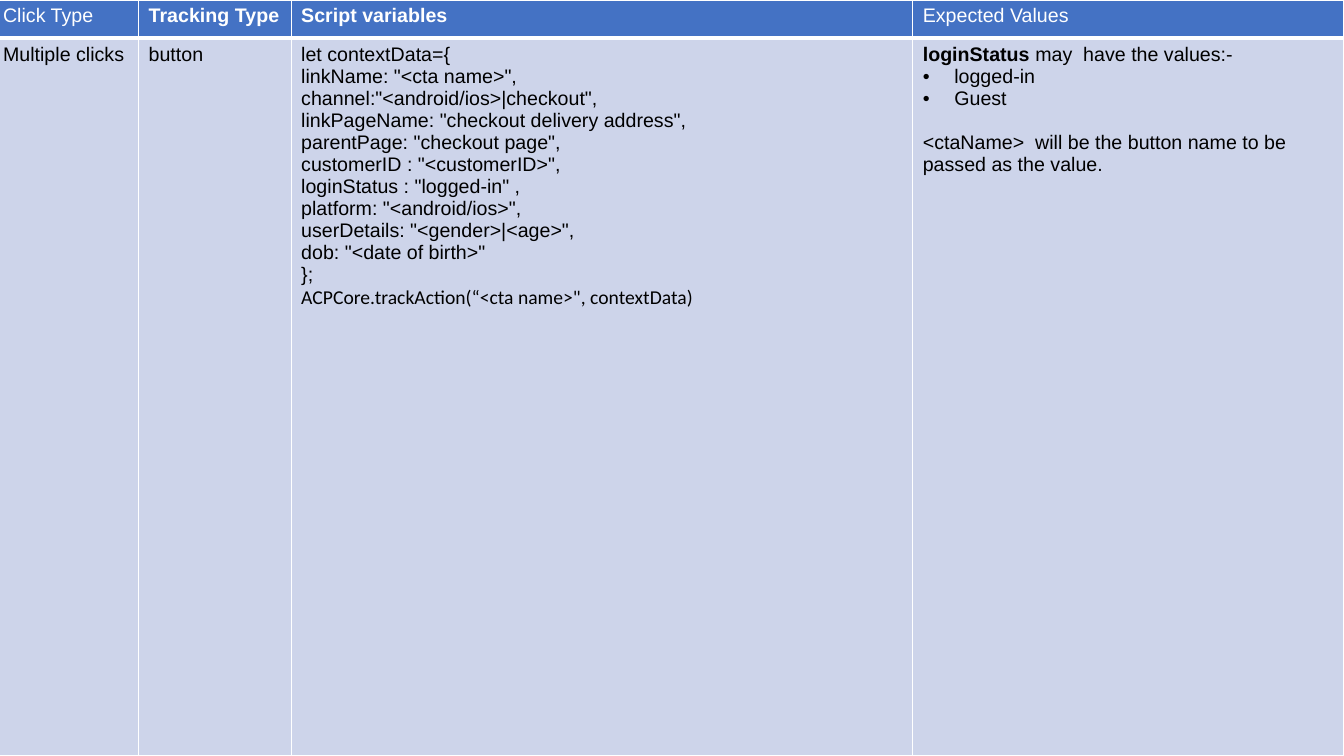
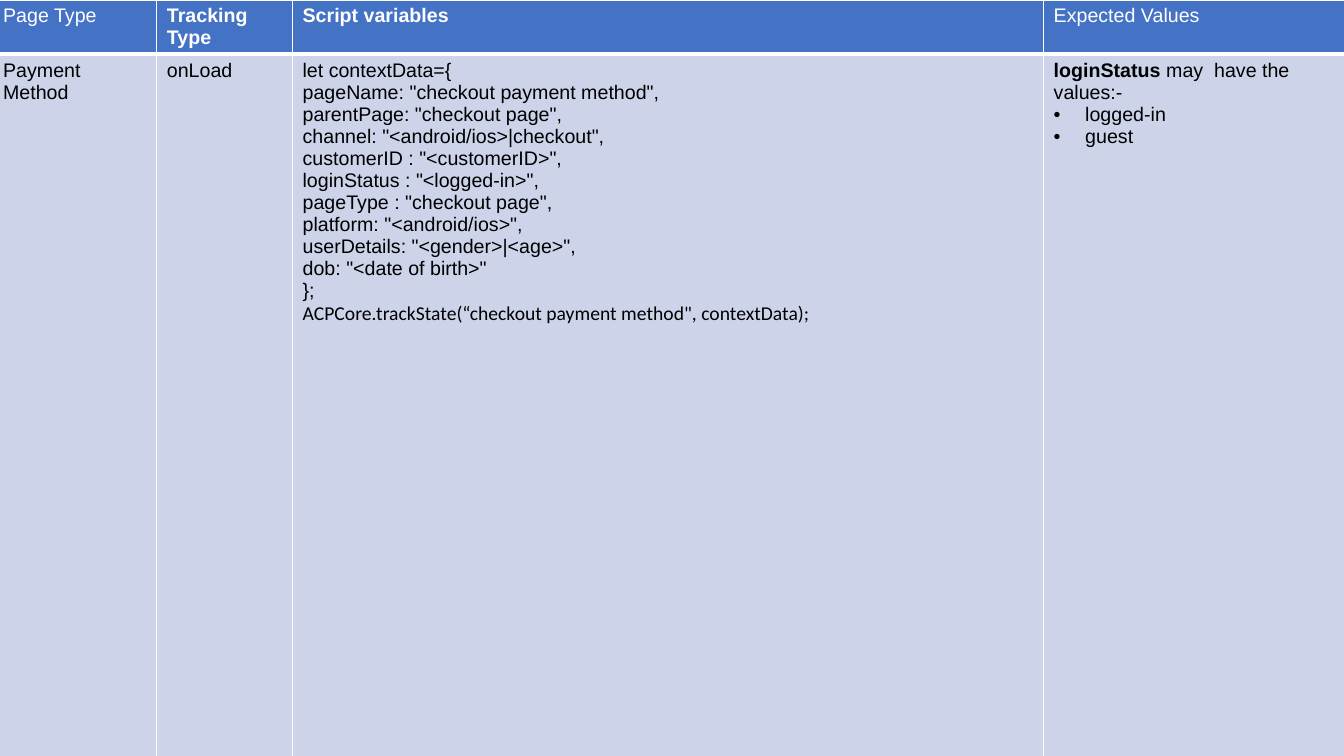
from dataclasses import dataclass

from pptx import Presentation
from pptx.dml.color import RGBColor
from pptx.oxml.ns import qn
from pptx.util import Pt
from lxml.etree import SubElement


def colour(value):
    return RGBColor.from_string(value)


@dataclass
class Line:
    text: str
    lead: str = ""
    bold: bool = False
    font: str = "Arial"
    bullet: bool = False
    gap: float = 0


class TrackingDeck:
    WIDTH, HEIGHT = 960, 540
    LEFT = -5
    HEADER_HEIGHT = 27.4
    SIZE = 14
    INDENT = 22.5
    HEADER_FILL, BODY_FILL = "4472C4", "CDD4EA"
    WHITE, BLACK = "FFFFFF", "000000"
    THIN, THICK = 1, 3

    def __init__(self):
        self.deck = Presentation()
        self.deck.slide_width = Pt(self.WIDTH)
        self.deck.slide_height = Pt(self.HEIGHT)
        self.page = None

    def add_page(self):
        self.page = self.deck.slides.add_slide(self.deck.slide_layouts[6])

    def add_table(self, widths, header, body):
        frame = self.page.shapes.add_table(
            2, len(widths), Pt(self.LEFT), Pt(0), Pt(sum(widths)), Pt(self.HEIGHT))
        table = frame.table
        table.horz_banding = False
        for column, width in zip(table.columns, widths):
            column.width = Pt(width)
        heights = (self.HEADER_HEIGHT, self.HEIGHT - self.HEADER_HEIGHT)
        for row, height in zip(table.rows, heights):
            row.height = Pt(height)
        for index, (heading, lines) in enumerate(zip(header, body)):
            self.fill_cell(table.cell(0, index), [heading], self.HEADER_FILL,
                           self.WHITE, self.THIN, self.THICK)
            self.fill_cell(table.cell(1, index), lines, self.BODY_FILL,
                           self.BLACK, self.THICK, self.THIN)

    def fill_cell(self, cell, lines, fill, ink, top, bottom):
        sides = {"a:lnL": self.THIN, "a:lnR": self.THIN, "a:lnT": top, "a:lnB": bottom}
        for side, width in sides.items():
            self.add_border(cell, side, width)
        cell.fill.solid()
        cell.fill.fore_color.rgb = colour(fill)
        cell.text_frame.text = "\n".join(line.text for line in lines)
        for para, line in zip(cell.text_frame.paragraphs, lines):
            self.format_line(para, line, ink)

    def add_border(self, cell, side, width):
        properties = cell._tc.get_or_add_tcPr()
        border = SubElement(properties, qn(side), w=str(Pt(width)))
        solid = SubElement(border, qn("a:solidFill"))
        SubElement(solid, qn("a:srgbClr"), val=self.WHITE)

    def format_line(self, para, line, ink):
        if line.bullet:
            self.add_bullet(para)
        if line.gap:
            para.space_before = Pt(line.gap)
        if line.lead:
            para.text = line.lead
            para.add_run().text = line.text
        for span in para.runs:
            span.font.name = line.font
            span.font.size = Pt(self.SIZE)
            span.font.bold = line.bold
            span.font.color.rgb = colour(ink)
        if line.lead:
            para.runs[0].font.bold = True

    def add_bullet(self, para):
        properties = para._p.get_or_add_pPr()
        properties.set("marL", str(Pt(self.INDENT)))
        properties.set("indent", str(-Pt(self.INDENT)))
        SubElement(properties, qn("a:buFont"), typeface="Arial")
        SubElement(properties, qn("a:buChar"), char="•")

    def save(self):
        self.deck.save("out.pptx")


def header(first):
    return [Line(first), Line("Tracking Type", bold=True),
            Line("Script variables", bold=True), Line("Expected Values")]


def code(text, call):
    return [Line(row) for row in text.split("\n")] + [Line(call, font="Calibri")]


def login_values(*values):
    return [Line("may  have the values:-", lead="loginStatus ")] + [
        Line(value, bullet=True) for value in values]


CLICK_CODE = """let contextData={
linkName: "<cta name>",
channel:"<android/ios>|checkout",
linkPageName: "checkout delivery address",
parentPage: "checkout page",
customerID : "<customerID>",
loginStatus : "logged-in" ,
platform: "<android/ios>",
userDetails: "<gender>|<age>",
dob: "<date of birth>"
};"""

LOAD_CODE = """let contextData={
pageName: "checkout payment method",
parentPage: "checkout page",
channel: "<android/ios>|checkout",
customerID : "<customerID>",
loginStatus : "<logged-in>",
pageType : "checkout page",
platform: "<android/ios>",
userDetails: "<gender>|<age>",
dob: "<date of birth>"
};"""


def main():
    tracking = TrackingDeck()

    tracking.add_page()
    button_note = Line("<ctaName>  will be the button name to be passed as the value.", gap=16)
    tracking.add_table((104, 109, 444, 307.5), header("Click Type"), [
        [Line("Multiple clicks")],
        [Line("button")],
        code(CLICK_CODE, 'ACPCore.trackAction(“<cta name>", contextData)'),
        login_values("logged-in", "Guest") + [button_note],
    ])

    tracking.add_page()
    tracking.add_table((117, 97, 536.5, 216), header("Page Type"), [
        [Line("Payment Method")],
        [Line("onLoad")],
        code(LOAD_CODE, 'ACPCore.trackState(“checkout payment method", contextData);'),
        login_values("logged-in", "guest"),
    ])

    tracking.save()


if __name__ == "__main__":
    main()
